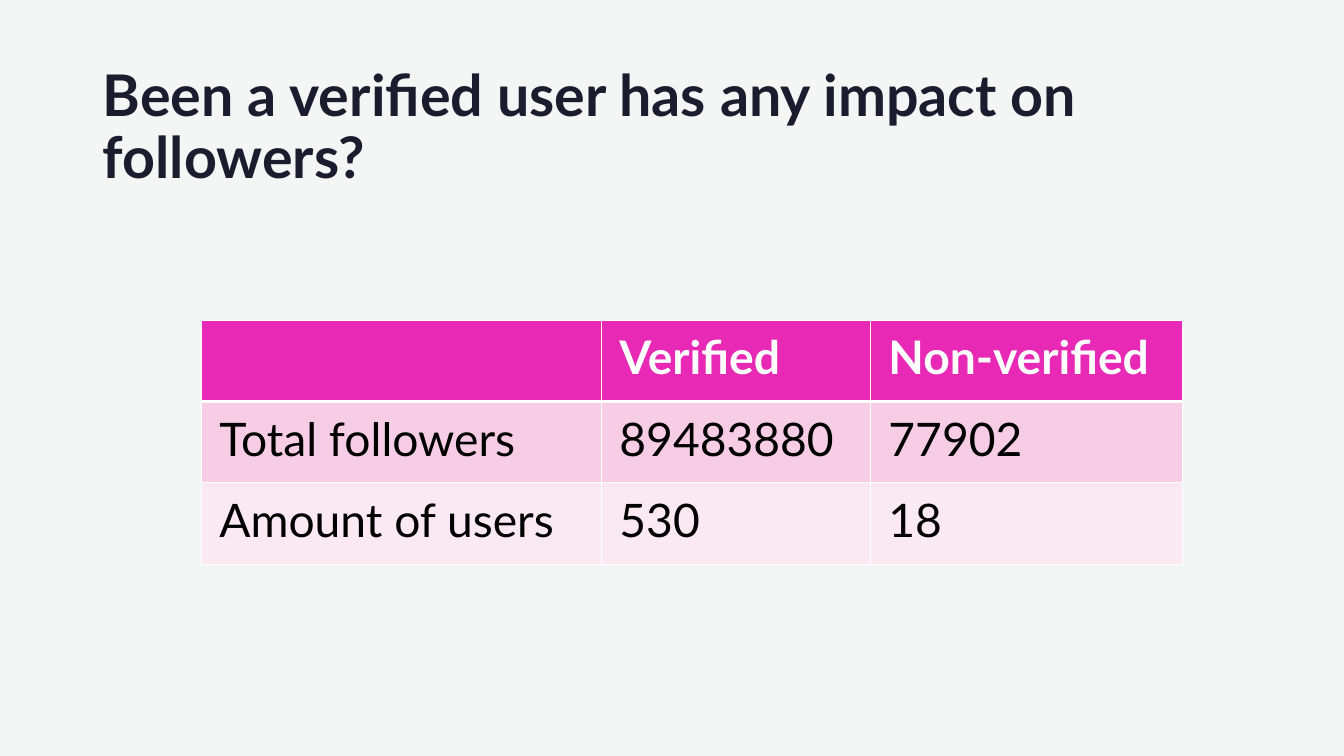
"""Build a slide comparing the followers of verified and non-verified users."""
from dataclasses import dataclass

import lxml.etree
import pptx
import pptx.dml.color
import pptx.enum.shapes
import pptx.enum.text
import pptx.oxml.ns
import pptx.util

Cm = pptx.util.Cm
Pt = pptx.util.Pt
RGB = pptx.dml.color.RGBColor.from_string
qn = pptx.oxml.ns.qn


@dataclass(frozen=True)
class Theme:
    font: str = "Lato"
    title_size: int = 41
    cell_size: int = 33
    tint: str = "F0F3F1"
    tint_opacity: int = 70
    title: str = "1B1D2F"
    header: str = "E729B5"
    bands: tuple = ("F6CDE5", "FAE8F3")
    light: str = "FFFFFF"
    dark: str = "000000"


theme = Theme()


def add_run(p, text, size, color, bold):
    r = p.add_run()
    r.text = text
    r.font.name = theme.font
    r.font.size = Pt(size)
    r.font.bold = bold
    r.font.color.rgb = RGB(color)


def set_borders(cell, widths):
    tcPr = cell._tc.get_or_add_tcPr()
    for i, (side, width) in enumerate(widths.items()):
        ln = lxml.etree.Element(qn(f"a:ln{side}"), w=str(Pt(width)))
        fill = lxml.etree.SubElement(ln, qn("a:solidFill"))
        lxml.etree.SubElement(fill, qn("a:srgbClr"), val=theme.light)
        tcPr.insert(i, ln)


prs = pptx.Presentation()
prs.slide_width = Cm(33.87)
prs.slide_height = Cm(19.05)
s = prs.slides.add_slide(prs.slide_layouts[5])
title = s.shapes.title

for color, opacity in ((theme.light, 100), (theme.tint, theme.tint_opacity)):
    sp = s.shapes.add_shape(pptx.enum.shapes.MSO_SHAPE.RECTANGLE,
                            0, 0, prs.slide_width, prs.slide_height)
    sp.shadow.inherit = False
    sp.line.fill.background()
    sp.fill.solid()
    sp.fill.fore_color.rgb = RGB(color)
    if opacity < 100:
        clr = sp._element.spPr.find(qn("a:solidFill")).find(qn("a:srgbClr"))
        lxml.etree.SubElement(clr, qn("a:alpha"), val=str(opacity * 1000))
    title._element.addprevious(sp._element)

title.left, title.top, title.width, title.height = Cm(2.34), Cm(1.55), Cm(28.75), Cm(3.56)
tf = title.text_frame
tf.word_wrap = True
tf.auto_size = pptx.enum.text.MSO_AUTO_SIZE.NONE
tf.vertical_anchor = pptx.enum.text.MSO_ANCHOR.TOP
p = tf.paragraphs[0]
p.alignment = pptx.enum.text.PP_ALIGN.LEFT
p.line_spacing = 0.9
add_run(p, "Been a verified user has any impact on followers?",
        theme.title_size, theme.title, True)

rows = [
    ("", "Verified", "Non-verified"),
    ("Total followers", "89483880", "77902"),
    ("Amount of users", "530", "18"),
]
col_widths = [10.08, 6.78, 7.87]
row_height = 2.05
table = s.shapes.add_table(
    len(rows), len(col_widths), Cm(5.07), Cm(8.07),
    Cm(sum(col_widths)), Cm(row_height * len(rows))).table
for column, width in zip(table.columns, col_widths):
    column.width = Cm(width)

for i, row in enumerate(rows):
    table.rows[i].height = Cm(row_height)
    is_header = i == 0
    fill = theme.header if is_header else theme.bands[(i - 1) % 2]
    widths = {"L": 1, "R": 1, "T": 1, "B": 3 if is_header else 1}
    for j, text in enumerate(row):
        cell = table.cell(i, j)
        cell.margin_left = cell.margin_right = Cm(0.46)
        cell.margin_top = cell.margin_bottom = Cm(0.23)
        cell.fill.solid()
        cell.fill.fore_color.rgb = RGB(fill)
        set_borders(cell, widths)
        if text:
            add_run(cell.text_frame.paragraphs[0], text, theme.cell_size,
                    theme.light if is_header else theme.dark, is_header)

prs.save("out.pptx")
